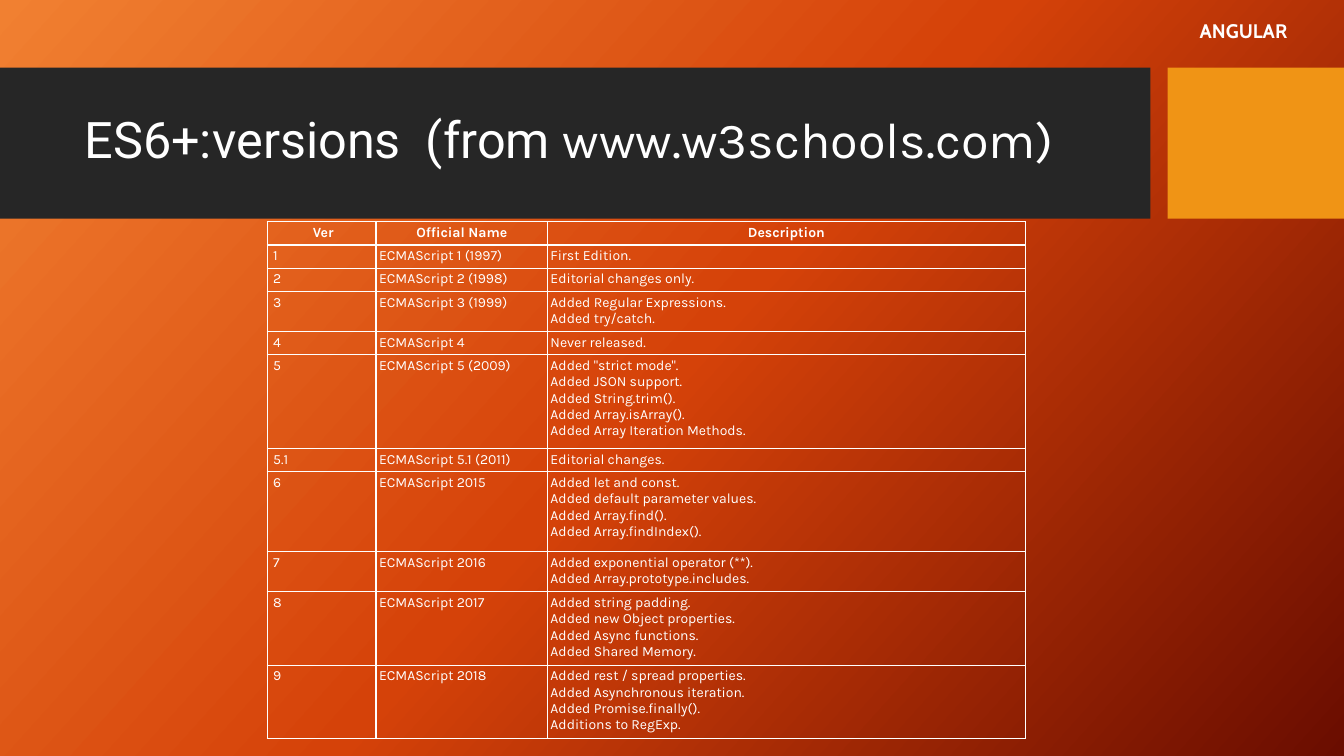
from copy import deepcopy
from dataclasses import dataclass

from lxml import etree
from pptx import Presentation
from pptx.dml.color import RGBColor
from pptx.enum import shapes, text
from pptx.oxml import ns
from pptx.util import Inches, Pt


@dataclass(frozen=True)
class Theme:
    gradient: tuple = ((0, "F18031"), (0.5, "D54209"), (1, "6A0D00"))
    gradient_angle: int = 318
    band: str = "262626"
    accent: str = "F09415"
    ink: str = "FFFFFF"
    heading_font: str = "Roboto"
    body_font: str = "Karla"
    label_font: str = "Cabin"
    heading_size: int = 36
    label_size: int = 14
    body_size: int = 10


COLUMN_WIDTHS = (1.08, 1.7, 4.74)
HEADER = (0.23, ("Ver", "Official Name", "Description"))
VERSIONS = (
    (0.23, ("1", "ECMAScript 1 (1997)", "First Edition.")),
    (0.23, ("2", "ECMAScript 2 (1998)", "Editorial changes only.")),
    (0.4, ("3", "ECMAScript 3 (1999)",
           "Added Regular Expressions.\nAdded try/catch.")),
    (0.23, ("4", "ECMAScript 4", "Never released.")),
    (0.93, ("5", "ECMAScript 5 (2009)",
            'Added "strict mode".\nAdded JSON support.\nAdded String.trim().\n'
            "Added Array.isArray().\nAdded Array Iteration Methods.")),
    (0.23, ("5.1", "ECMAScript 5.1 (2011)", "Editorial changes.")),
    (0.79, ("6", "ECMAScript 2015",
            "Added let and const.\nAdded default parameter values.\n"
            "Added Array.find().\nAdded Array.findIndex().")),
    (0.4, ("7", "ECMAScript 2016",
           "Added exponential operator (**).\nAdded Array.prototype.includes.")),
    (0.73, ("8", "ECMAScript 2017",
            "Added string padding.\nAdded new Object properties.\n"
            "Added Async functions.\nAdded Shared Memory.")),
    (0.73, ("9", "ECMAScript 2018",
            "Added rest / spread properties.\nAdded Asynchronous iteration.\n"
            "Added Promise.finally().\nAdditions to RegExp.")),
)


class SlideBuilder:
    def __init__(self, slide, theme):
        self.slide = slide
        self.theme = theme

    def background(self):
        fill = self.slide.background.fill
        fill.gradient()
        fill.gradient_angle = self.theme.gradient_angle
        stops = self.slide.element.find(".//" + ns.qn("a:gsLst"))
        stops.insert(1, deepcopy(stops[0]))
        for stop, (position, color) in zip(fill.gradient_stops, self.theme.gradient):
            stop.position = position
            stop.color.rgb = RGBColor.from_string(color)

    def block(self, left, top, width, height, color):
        block = self.slide.shapes.add_shape(
            shapes.MSO_SHAPE.RECTANGLE,
            Inches(left), Inches(top), Inches(width), Inches(height))
        block.shadow.inherit = False
        block.fill.solid()
        block.fill.fore_color.rgb = RGBColor.from_string(color)
        block.line.fill.background()

    def add_words(self, paragraph, words, font, size, bold=False):
        """Add one run per line of words, with line breaks of the same style."""
        for index, line in enumerate(words.split("\n")):
            if index:
                paragraph.add_line_break()
                line_break = paragraph._p[-1]
                line_break.append(deepcopy(run._r.rPr))
            run = paragraph.add_run()
            run.text = line
            run.font.name = font
            run.font.size = Pt(size)
            run.font.bold = bold
            run.font.color.rgb = RGBColor.from_string(self.theme.ink)

    def text_box(self, left, top, width, height, runs, size, bold=False,
                 anchor=text.MSO_ANCHOR.TOP, line_spacing=None):
        frame = self.slide.shapes.add_textbox(
            Inches(left), Inches(top), Inches(width), Inches(height)).text_frame
        frame.word_wrap = True
        frame.vertical_anchor = anchor
        paragraph = frame.paragraphs[0]
        paragraph.line_spacing = line_spacing
        for words, font in runs:
            self.add_words(paragraph, words, font, size, bold)

    def cell_borders(self, cell):
        properties = cell._tc.get_or_add_tcPr()
        for index, side in enumerate(("lnL", "lnR", "lnT", "lnB")):
            border = etree.Element(ns.qn("a:" + side), w=str(Pt(1)))
            fill = etree.SubElement(border, ns.qn("a:solidFill"))
            etree.SubElement(fill, ns.qn("a:srgbClr"), val=self.theme.ink)
            properties.insert(index, border)

    def table(self, left, top, widths, header, body):
        rows = (header, *body)
        height = sum(row_height for row_height, _ in rows)
        table = self.slide.shapes.add_table(
            len(rows), len(widths), Inches(left), Inches(top),
            Inches(sum(widths)), Inches(height)).table
        table.first_row = table.horz_banding = False
        for column, width in zip(table.columns, widths):
            column.width = Inches(width)
        for row, (row_height, entries) in zip(table.rows, rows):
            row.height = Inches(row_height)
            is_header = entries is header[1]
            for index, (cell, words) in enumerate(zip(row.cells, entries)):
                cell.fill.background()
                self.cell_borders(cell)
                cell.margin_left = Inches(0.03 if index else 0.06)
                cell.margin_right = cell.margin_top = cell.margin_bottom = Inches(0.03)
                paragraph = cell.text_frame.paragraphs[0]
                if is_header:
                    paragraph.alignment = text.PP_ALIGN.CENTER
                self.add_words(paragraph, words, self.theme.body_font,
                               self.theme.body_size, is_header)


def main():
    deck = Presentation()
    deck.slide_width = Inches(13.33)
    deck.slide_height = Inches(7.5)
    theme = Theme()
    builder = SlideBuilder(deck.slides.add_slide(deck.slide_layouts[6]), theme)

    builder.background()
    builder.block(0, 0.67, 11.41, 1.5, theme.band)
    builder.block(11.58, 0.67, 1.75, 1.5, theme.accent)
    builder.text_box(
        0.74, 0.82, 10.51, 1.18,
        (("ES6+:versions  (from ", theme.heading_font),
         ("www.w3schools.com)", theme.body_font)),
        theme.heading_size, anchor=text.MSO_ANCHOR.MIDDLE, line_spacing=0.9)
    builder.text_box(11.8, 0.14, 1.34, 0.34, (("ANGULAR", theme.label_font),),
                     theme.label_size, bold=True)
    builder.table(2.65, 2.2, COLUMN_WIDTHS, HEADER, VERSIONS)
    deck.save("out.pptx")


if __name__ == "__main__":
    main()
